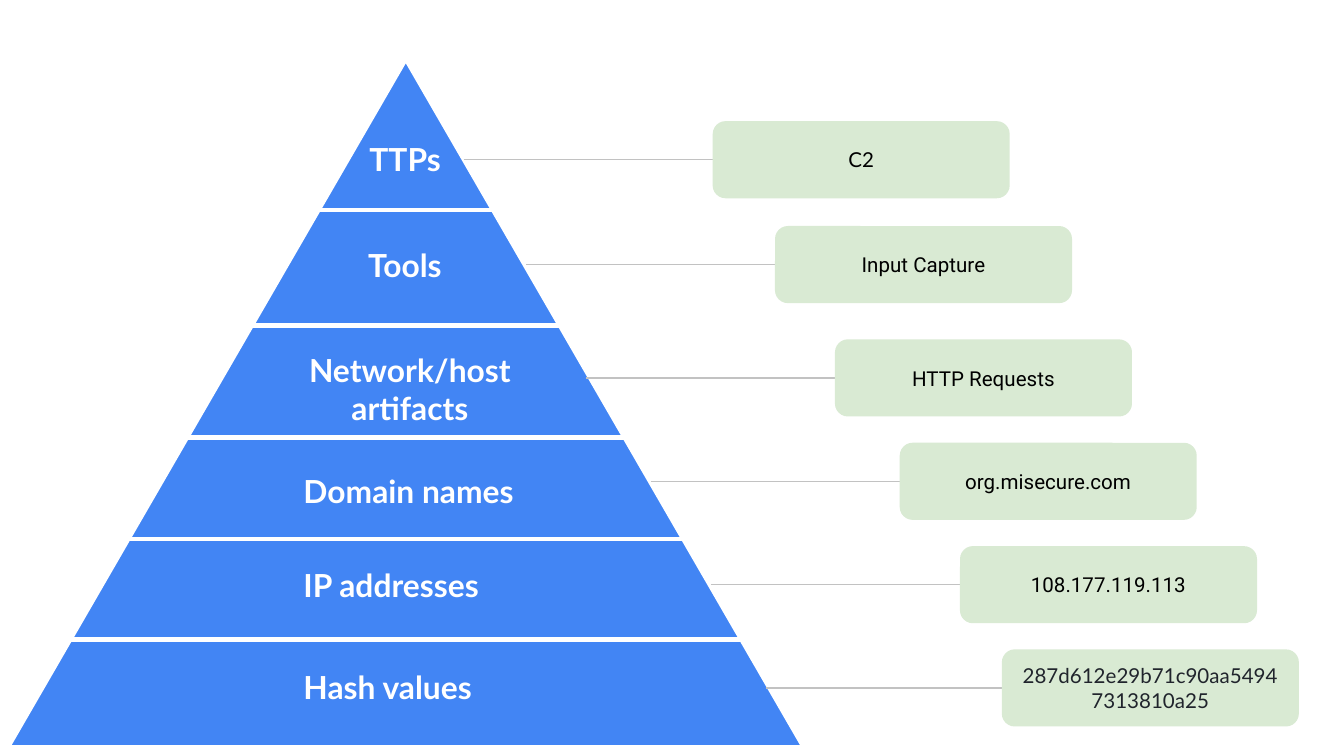
from lxml import etree
from pptx import Presentation
from pptx.dml.color import RGBColor
from pptx.enum.shapes import MSO_CONNECTOR, MSO_SHAPE
from pptx.enum.text import MSO_ANCHOR, MSO_AUTO_SIZE, PP_ALIGN
from pptx.oxml.ns import qn
from pptx.util import Pt

TRIANGLE, ROUNDED = MSO_SHAPE.ISOSCELES_TRIANGLE, MSO_SHAPE.ROUNDED_RECTANGLE
STRAIGHT, ELBOW = MSO_CONNECTOR.STRAIGHT, MSO_CONNECTOR.ELBOW
LEFT, CENTER = PP_ALIGN.LEFT, PP_ALIGN.CENTER

# Content: pyramid levels from top to bottom
# label, (left, top, width, height), alignment
LEVELS = [
    ("TTPs", (190.8, 67.7, 63.4, 35.3), LEFT),
    ("Tools", (190.1, 124.6, 63.4, 35.3), LEFT),
    ("Network/host artifacts", (141.1, 180.7, 157, 55.4), CENTER),
    ("Domain names", (155.5, 245.5, 161.3, 35.3), LEFT),
    ("IP addresses", (155.5, 295.9, 161.3, 35.3), LEFT),
    ("Hash values", (155.5, 350.6, 161.3, 35.3), LEFT),
]
# example, left, top, leader length, font, colour
EXAMPLES = [
    ("C2", 381.8, 64.9, 133.4, "Lato", "000000"),
    ("Input Capture", 415.2, 121.1, 133.4, "Roboto", "000000"),
    ("HTTP Requests", 447.3, 181.8, 133.4, "Roboto", "000000"),
    ("org.misecure.com", 482, 237.2, 133.4, "Roboto", "000000"),
    ("108.177.119.113", 514.3, 292.6, 133.4, "Roboto", "000000"),
    ("287d612e29b71c90aa54947313810a25", 536.7, 347.9, 126.4, "Lato", "20242C"),
]
DIVIDERS = [112.5, 174.4, 234.4, 288.8, 342.6]
PYRAMID = (4.3, 31.7, 426.2, 368.6)
BOX_W, BOX_H = 159.1, 41.3


def rgb(value):
    return RGBColor.from_string(value)


def add_line(shapes, kind, x1, x2, y, color, weight):
    line = shapes.add_connector(kind, Pt(x1), Pt(y), Pt(x2), Pt(y))
    line.line.color.rgb = rgb(color)
    line.line.width = Pt(weight)
    etree.SubElement(line._element.spPr, qn("a:effectLst"))


def write(shape, text, font, size, color, align, bold=False):
    frame = shape.text_frame
    frame.word_wrap = True
    frame.margin_left = frame.margin_right = Pt(7.2)
    frame.margin_top = frame.margin_bottom = Pt(7.2)
    frame.text = text
    paragraph = frame.paragraphs[0]
    paragraph.alignment = align
    style = paragraph.runs[0].font
    style.name, style.size, style.bold = font, Pt(size), bold
    style.color.rgb = rgb(color)


prs = Presentation()
prs.slide_width, prs.slide_height = Pt(720), Pt(405)
slide = prs.slides.add_slide(prs.slide_layouts[6])

# Pyramid with dividers that end on its sides
pyramid = slide.shapes.add_group_shape().shapes
triangle = pyramid.add_shape(TRIANGLE, *map(Pt, PYRAMID))
triangle.shadow.inherit = False
triangle.fill.solid()
triangle.fill.fore_color.rgb = rgb("4285F4")
triangle.line.color.rgb = rgb("FFFFFF")
triangle.line.width = Pt(2.25)
left, apex, base, height = PYRAMID
middle = left + base / 2
for y in DIVIDERS:
    half = (y - apex) / height * base / 2
    add_line(pyramid, STRAIGHT, middle - half, middle + half, y, "FFFFFF", 2.25)

# Level names
for name, place, align in LEVELS:
    label = slide.shapes.add_textbox(*map(Pt, place))
    write(label, name, "Lato", 17, "FFFFFF", align, bold=True)
    label.text_frame.auto_size = MSO_AUTO_SIZE.SHAPE_TO_FIT_TEXT

# Example boxes with leaders back to the pyramid
for example, x, y, leader, font, color in EXAMPLES:
    add_line(slide.shapes, ELBOW, x - leader, x, y + BOX_H / 2, "C2C2C2", 0.75)
    box = slide.shapes.add_shape(ROUNDED, Pt(x), Pt(y), Pt(BOX_W), Pt(BOX_H))
    box.shadow.inherit = False
    box.fill.solid()
    box.fill.fore_color.rgb = rgb("D9EAD3")
    box.line.fill.background()
    write(box, example, font, 11, color, CENTER)
    box.text_frame.vertical_anchor = MSO_ANCHOR.MIDDLE

prs.save("out.pptx")
